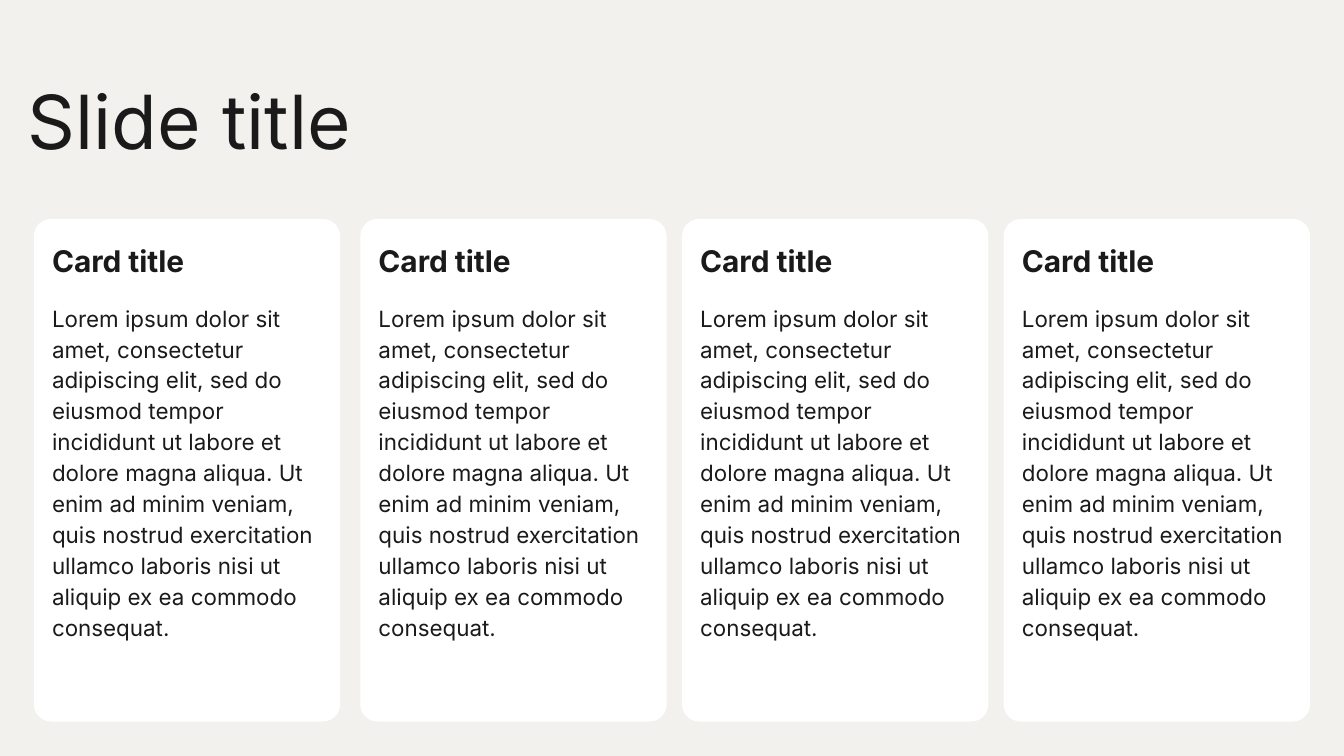
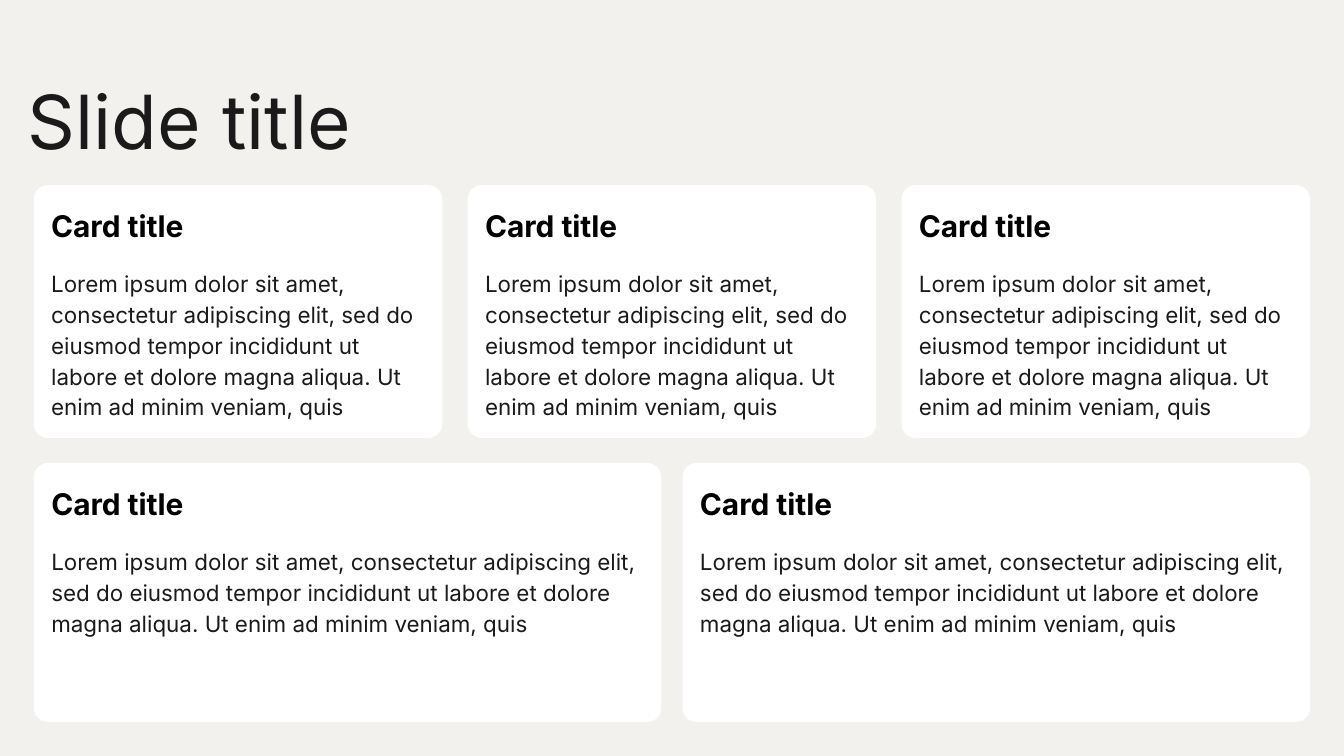
from dataclasses import dataclass
from itertools import accumulate

import pptx
import pptx.dml.color
import pptx.enum.shapes
import pptx.enum.text
import pptx.slide
import pptx.text.text
import pptx.util
from pptx.util import Cm


# Theme: colours, font, type sizes and shared measures
@dataclass(frozen=True)
class Theme:
    ground: str = "F2F1EE"
    card: str = "FFFFFF"
    ink: str = "1A1A1A"
    black: str = "000000"
    font: str = "Inter"
    title: int = 40
    head: int = 16
    body: int = 12
    left: float = 0.64
    inset: float = 0.25
    round: float = 0.056
    line: float = 1.15


@dataclass(frozen=True)
class Row:
    top: float
    width: float
    height: float
    gaps: tuple[float, ...]
    text: str
    head: str


THEME = Theme()

# Wording
SHORT = (
    "Lorem ipsum dolor sit amet, consectetur adipiscing elit, sed do eiusmod "
    "tempor incididunt ut labore et dolore magna aliqua. "
    "Ut enim ad minim veniam, quis"
)
LONG = SHORT + (
    " nostrud exercitation ullamco laboris nisi ut aliquip ex ea commodo consequat."
)

# Rows of cards, slide by slide
DECK = (
    (Row(4.14, 5.79, 9.5, (0.38, 0.29, 0.29), LONG, THEME.ink),),
    (
        Row(3.5, 7.72, 4.78, (0.48, 0.48), SHORT, THEME.black),
        Row(8.75, 11.86, 4.9, (0.4,), SHORT, THEME.black),
    ),
)


def tint(code: str) -> pptx.dml.color.RGBColor:
    return pptx.dml.color.RGBColor.from_string(code)


def write(
    para: pptx.text.text._Paragraph,
    text: str,
    *,
    size: int,
    color: str = THEME.ink,
    bold: bool = False,
    line: float = 1.0,
    space: int = 0,
) -> None:
    para.alignment = pptx.enum.text.PP_ALIGN.LEFT
    para.line_spacing = line
    para.space_before = para.space_after = pptx.util.Pt(space)
    run = para.add_run()
    run.text = text
    run.font.name = THEME.font
    run.font.size = pptx.util.Pt(size)
    run.font.bold = bold
    run.font.color.rgb = tint(color)


def frame(
    box: pptx.text.text.TextFrame, base: float = THEME.inset
) -> pptx.text.text.TextFrame:
    box.word_wrap = True
    box.vertical_anchor = pptx.enum.text.MSO_ANCHOR.TOP
    box.margin_left = box.margin_right = box.margin_top = Cm(THEME.inset)
    box.margin_bottom = Cm(base)
    return box


def title(slide: pptx.slide.Slide, text: str) -> None:
    box = slide.shapes.add_textbox(Cm(0.28), Cm(1.17), Cm(23.67), Cm(2.24))
    write(frame(box.text_frame).paragraphs[0], text, size=THEME.title)


def card(slide: pptx.slide.Slide, left: float, row: Row) -> None:
    shape = slide.shapes.add_shape(
        pptx.enum.shapes.MSO_SHAPE.ROUNDED_RECTANGLE,
        Cm(left), Cm(row.top), Cm(row.width), Cm(row.height),
    )
    shape.adjustments[0] = THEME.round
    shape.shadow.inherit = False
    shape.fill.solid()
    shape.fill.fore_color.rgb = tint(THEME.card)
    shape.line.fill.background()
    text = frame(shape.text_frame, base=0)
    write(text.paragraphs[0], "Card title", size=THEME.head,
          color=row.head, bold=True, line=THEME.line)
    write(text.add_paragraph(), row.text, size=THEME.body,
          line=THEME.line, space=12)


def cards(slide: pptx.slide.Slide, row: Row) -> None:
    steps = (row.width + gap for gap in row.gaps)
    for left in accumulate(steps, initial=THEME.left):
        card(slide, left, row)


def main() -> None:
    deck = pptx.Presentation()
    deck.slide_width, deck.slide_height = Cm(25.4), Cm(14.29)
    for rows in DECK:
        slide = deck.slides.add_slide(deck.slide_layouts[6])
        slide.background.fill.solid()
        slide.background.fill.fore_color.rgb = tint(THEME.ground)
        title(slide, "Slide title")
        for row in rows:
            cards(slide, row)
    deck.save("out.pptx")


if __name__ == "__main__":
    main()
